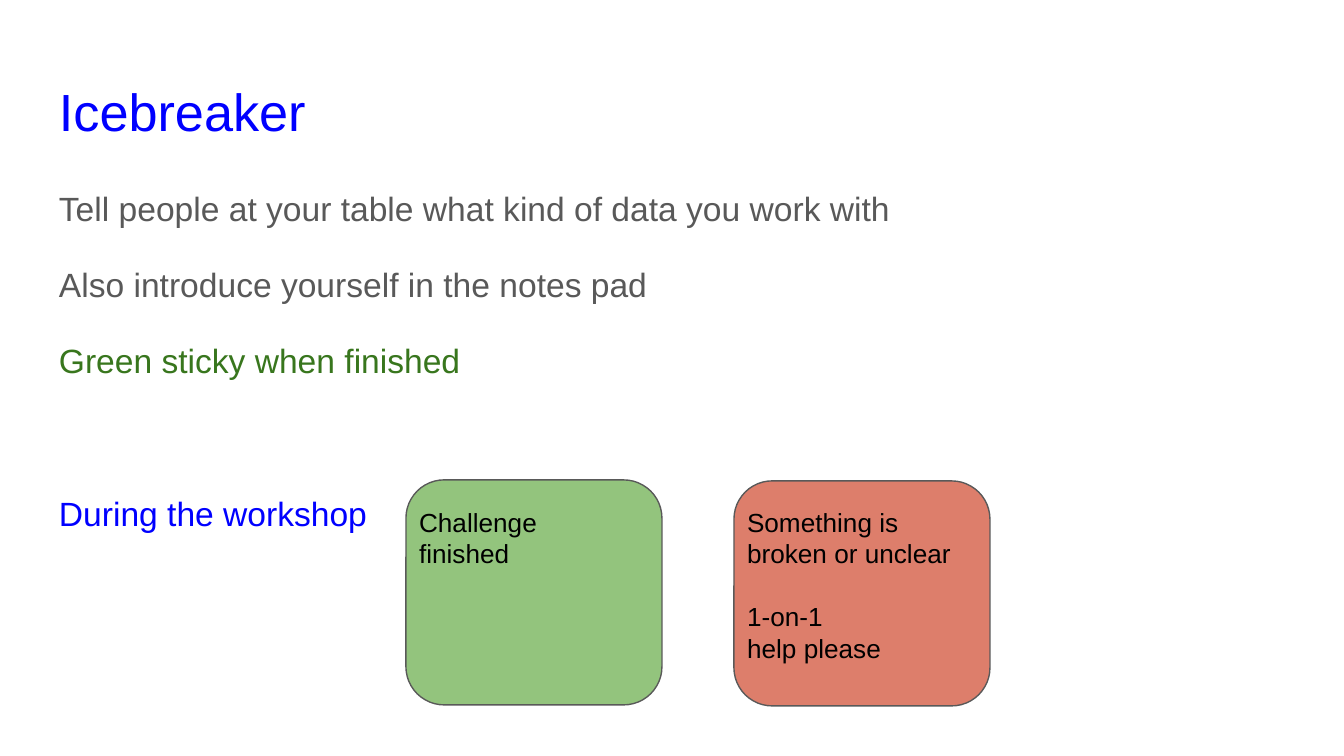
from pptx import Presentation
from pptx.dml.color import RGBColor
from pptx.enum.shapes import MSO_SHAPE as Shape
from pptx.util import Pt

SCALE = 914400 / 134.4
BLUE, GRAY, GREEN, BLACK = "0000FF", "595959", "38761D", "000000"


def color(code):
    """Turn a hex string into a colour."""
    return RGBColor.from_string(code)


def write(box, size, rows, ratio=None):
    """Add a text box with rows of text, colour and space before."""
    place = [round(n * SCALE) for n in box]
    frame = slide.shapes.add_textbox(*place).text_frame
    style = {"word_wrap": True}
    for side in ("left", "top", "right", "bottom"):
        style["margin_" + side] = round(13 * SCALE)
    for key, value in style.items():
        setattr(frame, key, value)
    for i, (text, ink, gap) in enumerate(rows):
        para = frame.add_paragraph() if i else frame.paragraphs[0]
        para.text = text
        form = {"space_before": Pt(gap), "line_spacing": ratio}
        for key, value in form.items():
            setattr(para, key, value)
        for run in para.runs:
            for key, value in {"name": "Arial", "size": Pt(size)}.items():
                setattr(run.font, key, value)
            run.font.color.rgb = color(ink)


show = Presentation()
show.slide_width, show.slide_height = round(1344 * SCALE), round(756 * SCALE)
slide = show.slides.add_slide(show.slide_layouts[6])

write((46, 66, 1253, 84), 28, [("Icebreaker", BLUE, 0)])
tasks = [
    ("Tell people at your table what kind of data you work with", GRAY, 0),
    ("Also introduce yourself in the notes pad", GRAY, 16),
    ("Green sticky when finished", GREEN, 16),
    ("During the workshop", BLUE, 57),
]
write((46, 169, 1253, 503), 18, tasks, 1.15)

# Sticky notes: left, top, fill, text width, rows
notes = [
    (406, 480, "93C47D", 208, [("Challenge finished", BLACK, 0)]),
    (734, 481, "DD7E6B", 233, [
        ("Something is broken or unclear", BLACK, 0),
        ("1-on-1\vhelp please", BLACK, 17),
    ]),
]
for left, top, fill, width, rows in notes:
    place = [round(n * SCALE) for n in (left, top, 256, 225)]
    note = slide.shapes.add_shape(Shape.ROUNDED_RECTANGLE, *place)
    note.shadow.inherit = False
    note.adjustments[0] = 0.17
    note.fill.solid()
    note.fill.fore_color.rgb = color(fill)
    note.line.color.rgb = color(GRAY)
    note.line.width = Pt(0.75)
    write((left, 493, width, 179), 14, rows)

show.save("out.pptx")
